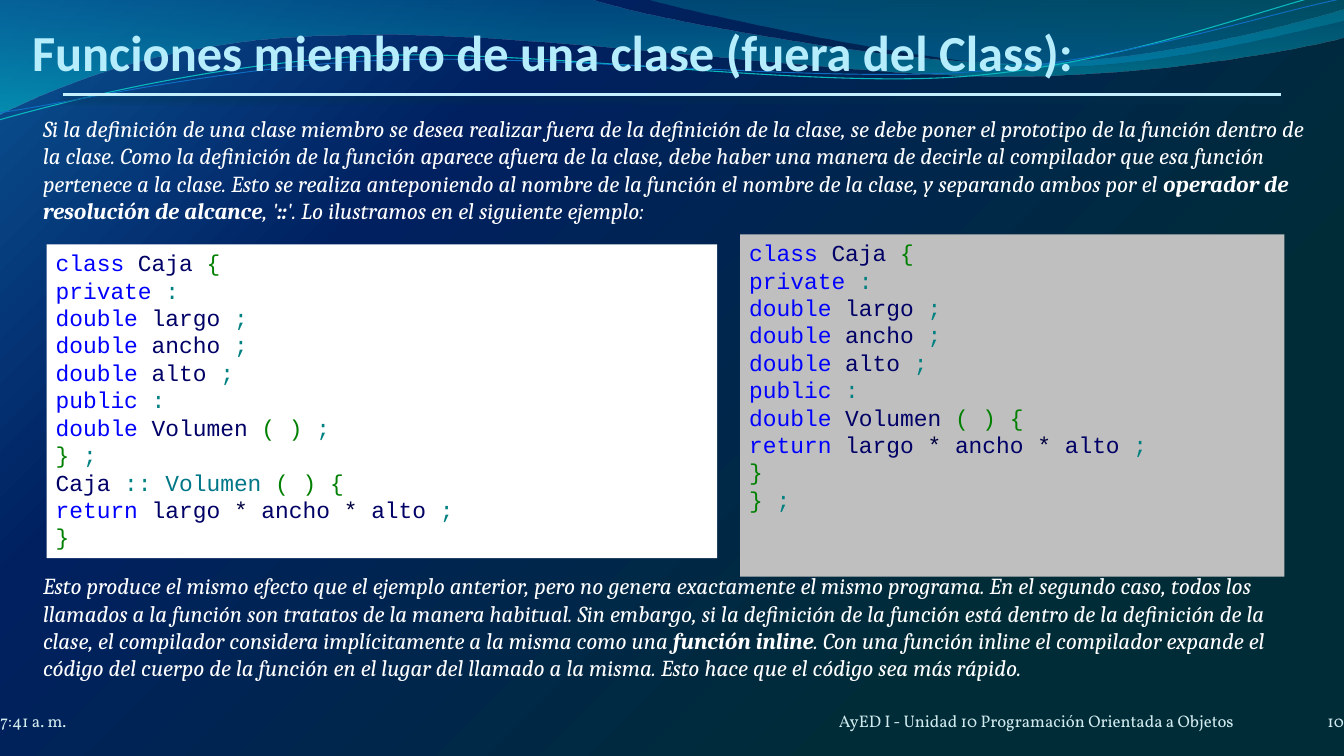
import pptx
import pptx.dml.color
import pptx.enum.shapes
import pptx.enum.text
import pptx.oxml
import pptx.oxml.ns
import pptx.util

Inches = pptx.util.Inches
Pt = pptx.util.Pt
RGBColor = pptx.dml.color.RGBColor
Anchor = pptx.enum.text.MSO_ANCHOR
Align = pptx.enum.text.PP_ALIGN
qn = pptx.oxml.ns.qn
NAMESPACE = pptx.oxml.ns.nsdecls("a")

WHITE = RGBColor(0xFF, 0xFF, 0xFF)
GRAY = RGBColor(0xBF, 0xBF, 0xBF)
TITLE_BLUE = RGBColor(0xB5, 0xED, 0xFD)
FOOTER_BLUE = RGBColor(0xD1, 0xEA, 0xEE)
RULE_BLUE = RGBColor(0xC4, 0xEF, 0xFF)
RULE_SHADOW = RGBColor(0x00, 0x37, 0x4C)
CURVE_TEAL = RGBColor(0x0A, 0xB8, 0xBF)
CURVE_BLUE = RGBColor(0x0F, 0x6F, 0xC6)

KEYWORD = RGBColor(0x00, 0x00, 0xFF)
IDENTIFIER = RGBColor(0x00, 0x00, 0x66)
BRACKET = RGBColor(0x00, 0x80, 0x00)
PUNCTUATION = RGBColor(0x00, 0x80, 0x80)
OPERATOR = RGBColor(0x00, 0x00, 0x40)
MEMBER = RGBColor(0x00, 0x77, 0x88)
TOKEN_COLORS = {
    **dict.fromkeys(["class", "private", "public", "double", "return"], KEYWORD),
    **dict.fromkeys("{}()", BRACKET),
    **dict.fromkeys([";", ":", "::"], PUNCTUATION),
    "*": OPERATOR,
}

# Gradient stops: position %, colour, opacity %
BACKGROUND_STOPS = [(0, RGBColor(0x0B, 0x53, 0x94), 100),
                    (28, RGBColor(0x00, 0x20, 0x60), 100),
                    (76, RGBColor(0x00, 0x2C, 0x38), 100)]
WIDE_WAVE_STOPS = [(0, RGBColor(0x00, 0x74, 0xA1), 45),
                   (100, RGBColor(0x00, 0xC6, 0xCF), 55)]
RIGHT_WAVE_STOPS = [(0, RGBColor(0x00, 0xA1, 0xA9), 30),
                    (80, RGBColor(0x00, 0x8B, 0xBF), 45)]
FROM_CORNER = ('<a:path path="circle">'
               '<a:fillToRect l="0" t="0" r="100000" b="100000"/></a:path>')
DOWNWARD = '<a:lin ang="5400000" scaled="1"/>'

# Bezier chains: start point, then two controls and an end per segment.
# Straight lines join one chain to the next.
WIDE_WAVE = [
    [(0, 0)],
    [(6.47, -0.01), (6.99, 0.18), (9.75, 0.69), (11.14, 0.69),
     (12.53, 0.69), (14.08, 0.28), (14.69, 0.1)],
    [(14.71, 0.4), (14.45, 0.48), (12.78, 0.83), (10.96, 0.83),
     (9.14, 0.83), (5.61, 0.31), (3.78, 0.38),
     (1.9, 0.39), (0.67, 0.91), (-0.02, 1.25)]]
RIGHT_WAVE = [
    [(7.04, -0.01), (7.48, 0.12), (10.02, 0.68), (11.29, 0.72),
     (12.57, 0.76), (14.12, 0.35), (14.69, 0.23)],
    [(14.69, 0)]]
TEAL_CURVE = [
    [(-0.01, 1.31), (0.7, 1.11), (2.32, 0.69), (4.07, 0.61),
     (5.81, 0.53), (8.7, 0.96), (10.47, 0.84),
     (12.23, 0.72), (13.79, 0.09), (14.66, -0.11)]]
BLUE_CURVE = [
    [(0, 1.23), (0.69, 1.14), (2.41, 0.73), (4.16, 0.66),
     (5.92, 0.58), (8.77, 0.9), (10.53, 0.79),
     (12.28, 0.68), (13.83, 0.15), (14.7, -0.02)]]

INTRODUCTION = [
    ("Si la definición de una clase miembro se desea realizar fuera de la definición de la clase, "
     "se debe poner el prototipo de la función dentro de la clase. Como la definición de la función "
     "aparece afuera de la clase, debe haber una manera de decirle al compilador que esa función "
     "pertenece a la clase. Esto se realiza anteponiendo al nombre de la función el nombre de la "
     "clase, y separando ambos por el ", False),
    ("operador de resolución de alcance", True), (", '", False), ("::", True),
    ("'. Lo ilustramos en el siguiente ejemplo:", False)]
CONCLUSION = [
    ("Esto produce el mismo efecto que el ejemplo anterior, pero no genera exactamente el mismo "
     "programa. En el segundo caso, todos los llamados a la función son tratatos de la manera "
     "habitual. Sin embargo, si la definición de la función está dentro de la definición de la "
     "clase, el compilador considera implícitamente a la misma como una ", False),
    ("función inline", True),
    (". Con una función inline el compilador expande el código del cuerpo de la función en el "
     "lugar del llamado a la misma. Esto hace que el código sea más rápido.", False)]
CLASS_START = ["class Caja {", "private :", "double largo ;", "double ancho ;",
               "double alto ;", "public :"]
RETURN_LINE = "return largo * ancho * alto ;"
OUTSIDE_CODE = CLASS_START + ["double Volumen ( ) ;", "} ;", "Caja :: Volumen ( ) {",
                              RETURN_LINE, "}"]
INSIDE_CODE = CLASS_START + ["double Volumen ( ) {", RETURN_LINE, "}", "} ;"]
LINE_HEIGHT = Pt(21.57)


def place(shape, left, top, width, height):
    shape.left, shape.top = Inches(left), Inches(top)
    shape.width, shape.height = Inches(width), Inches(height)


def bring_to_front(shape):
    shape.element.getparent().append(shape.element)


def add_span(para, text, font, size, color, bold=False, italic=False):
    span = para.add_run()
    span.text = text
    span.font.name, span.font.size = font, Pt(size)
    span.font.bold, span.font.italic = bold, italic
    span.font.color.rgb = color


def set_frame(frame, anchor, left=0.0, top=0.0, right=0.0, bottom=0.0):
    frame.word_wrap = True
    frame.auto_size = pptx.enum.text.MSO_AUTO_SIZE.NONE
    frame.vertical_anchor = anchor
    frame.margin_left, frame.margin_top = Inches(left), Inches(top)
    frame.margin_right, frame.margin_bottom = Inches(right), Inches(bottom)


def set_gradient(owner, fill, stops, direction):
    """Fill a shape or a slide background with stops that may be see-through."""
    fill.gradient()
    stop_xml = "".join(
        f'<a:gs pos="{position * 1000}"><a:srgbClr val="{color}">'
        f'<a:alpha val="{opacity * 1000}"/></a:srgbClr></a:gs>'
        for position, color, opacity in stops)
    gradient = owner.element.find(".//" + qn("a:gradFill"))
    gradient.getparent().replace(gradient, pptx.oxml.parse_xml(
        f'<a:gradFill {NAMESPACE} rotWithShape="1"><a:gsLst>{stop_xml}</a:gsLst>'
        f'{direction}</a:gradFill>'))


def add_outline(page, chains, close):
    """Draw the chains as one outline, turning each three points into a cubic curve."""
    corners = [(Inches(x), Inches(y)) for chain in chains for x, y in chain]
    builder = page.shapes.build_freeform(*corners[0])
    builder.add_line_segments(corners[1:], close=close)
    shape = builder.convert_to_shape()
    shape.shadow.inherit = False
    segments = shape.element.findall(".//" + qn("a:lnTo"))
    position = -1
    for chain in chains:
        position += 1
        for _ in range(len(chain) // 3):
            curve = pptx.oxml.parse_xml(f"<a:cubicBezTo {NAMESPACE}/>")
            segments[position].addprevious(curve)
            for segment in segments[position:position + 3]:
                curve.append(segment[0])
                segment.getparent().remove(segment)
            position += 3
    return shape


def add_wave(page, chains, stops):
    wave = add_outline(page, chains, True)
    set_gradient(wave, wave.fill, stops, DOWNWARD)
    wave.line.fill.background()


def add_curve(page, chains, color, width):
    curve = add_outline(page, chains, False)
    curve.fill.background()
    curve.line.color.rgb = color
    curve.line.width = Pt(width)


def add_title_rule(page):
    rule = page.shapes.add_connector(pptx.enum.shapes.MSO_CONNECTOR.STRAIGHT,
                                     Inches(0.69), Inches(1.03), Inches(14), Inches(1.03))
    rule.line.color.rgb = RULE_BLUE
    rule.line.width = Pt(2.25)
    rule.element.spPr.append(pptx.oxml.parse_xml(
        f'<a:effectLst {NAMESPACE}><a:outerShdw blurRad="{Pt(4.5)}" dist="{Pt(3)}" '
        f'dir="5400000" rotWithShape="0"><a:srgbClr val="{RULE_SHADOW}">'
        '<a:alpha val="48000"/></a:srgbClr></a:outerShdw></a:effectLst>'))


def fill_title(title, text):
    place(title, 0.35, 0.13, 12.64, 0.76)
    set_frame(title.text_frame, Anchor.BOTTOM, top=0.05)
    para = title.text_frame.paragraphs[0]
    para.alignment = Align.LEFT
    add_span(para, text, "Calibri", 39.7, TITLE_BLUE, bold=True)
    bring_to_front(title)


def fill_body(body):
    place(body, 0.37, 1.2, 14.08, 6.48)
    frame = body.text_frame
    set_frame(frame, Anchor.TOP, 0.1, 0.05, 0.1, 0.05)
    paras = [frame.paragraphs[0], frame.add_paragraph()]
    for para, spans, gap in zip(paras, [INTRODUCTION, CONCLUSION], [0, 273.5]):
        para.space_before, para.line_spacing = Pt(gap), LINE_HEIGHT
        properties = para._p.get_or_add_pPr()
        properties.set("marL", "0")
        properties.set("indent", "0")
        properties.append(pptx.oxml.parse_xml(f"<a:buNone {NAMESPACE}/>"))
        for text, bold in spans:
            add_span(para, text, "Cambria", 18, WHITE, bold, italic=True)
    bring_to_front(body)


def add_code_line(para, line):
    tokens = line.split()
    for index, token in enumerate(tokens):
        after_scope = index > 0 and tokens[index - 1] == "::"
        color = MEMBER if after_scope else TOKEN_COLORS.get(token, IDENTIFIER)
        ending = " " if index < len(tokens) - 1 else ""
        add_span(para, token + ending, "Courier New", 18, color)


def add_code_box(page, area, color, lines):
    box = page.shapes.add_shape(pptx.enum.shapes.MSO_SHAPE.RECTANGLE, 0, 0, 0, 0)
    place(box, *area)
    box.shadow.inherit = False
    box.fill.solid()
    box.fill.fore_color.rgb = color
    box.line.fill.background()
    frame = box.text_frame
    set_frame(frame, Anchor.TOP, 0.1, 0.05, 0.1, 0.05)
    for para, block in [(frame.paragraphs[0], lines[:1]), (frame.add_paragraph(), lines[1:])]:
        para.alignment, para.line_spacing = Align.LEFT, LINE_HEIGHT
        for number, line in enumerate(block):
            if number:
                para.add_line_break()
            add_code_line(para, line)


def add_footer(page, area, text, alignment=Align.LEFT):
    box = page.shapes.add_textbox(0, 0, 0, 0)
    place(box, *area)
    set_frame(box.text_frame, Anchor.BOTTOM)
    para = box.text_frame.paragraphs[0]
    para.alignment = alignment
    add_span(para, text, "Vollkorn", 13.2, FOOTER_BLUE)


def main():
    deck = pptx.Presentation()
    deck.slide_width, deck.slide_height = Inches(14.69), Inches(8.26)
    page = deck.slides.add_slide(deck.slide_layouts[1])
    set_gradient(page, page.background.fill, BACKGROUND_STOPS, FROM_CORNER)
    add_wave(page, WIDE_WAVE, WIDE_WAVE_STOPS)
    add_wave(page, RIGHT_WAVE, RIGHT_WAVE_STOPS)
    add_curve(page, TEAL_CURVE, CURVE_TEAL, 0.85)
    add_curve(page, BLUE_CURVE, CURVE_BLUE, 0.75)
    add_title_rule(page)
    fill_title(page.shapes.title, "Funciones miembro de una clase (fuera del Class):")
    fill_body(page.placeholders[1])
    add_footer(page, (0, 7.69, 3.38, 0.3), "7:41 a. m.")
    add_footer(page, (9.17, 7.69, 5.52, 0.3),
               "AyED I - Unidad 10 Programación Orientada a Objetos")
    add_footer(page, (13.86, 7.62, 0.83, 0.37), "10", Align.RIGHT)
    add_code_box(page, (0.51, 2.67, 7.33, 3.43), WHITE, OUTSIDE_CODE)
    add_code_box(page, (8.09, 2.56, 5.95, 3.74), GRAY, INSIDE_CODE)
    deck.save("out.pptx")


if __name__ == "__main__":
    main()
